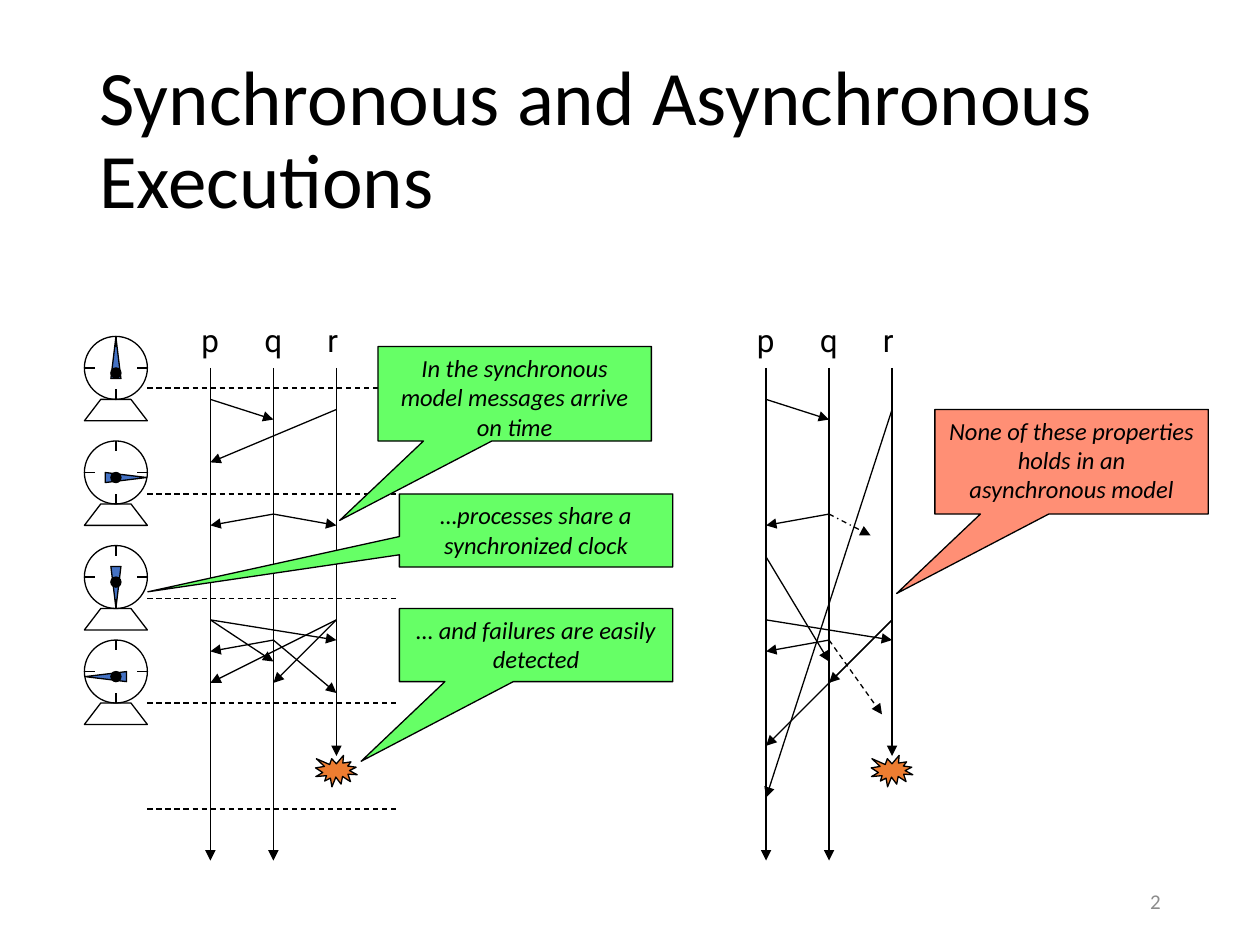
from typing import NamedTuple

from lxml import etree
from pptx import Presentation
from pptx.dml.color import RGBColor
from pptx.enum.dml import MSO_LINE
from pptx.enum.shapes import MSO_CONNECTOR, MSO_SHAPE
from pptx.enum.text import MSO_ANCHOR, PP_ALIGN
from pptx.oxml.ns import qn
from pptx.util import Inches, Pt

STRAIGHT = MSO_CONNECTOR.STRAIGHT
SOLID, DASH, DASH_DOT = MSO_LINE.SOLID, MSO_LINE.DASH, MSO_LINE.DASH_DOT
OVAL, TRIANGLE = MSO_SHAPE.OVAL, MSO_SHAPE.ISOSCELES_TRIANGLE
BURST, CALLOUT = MSO_SHAPE.EXPLOSION1, MSO_SHAPE.RECTANGULAR_CALLOUT
TOP, MIDDLE = MSO_ANCHOR.TOP, MSO_ANCHOR.MIDDLE
LEFT, CENTER, RIGHT = PP_ALIGN.LEFT, PP_ALIGN.CENTER, PP_ALIGN.RIGHT

BLACK, GREEN, SALMON = "000000", "66FF66", "FF8F75"
BLUE, ORANGE, GRAY = "4472C4", "ED7D31", "8C8C8C"

P, Q, R = 0, 0.5, 1  # process timelines, as offsets from the first one
CLOCK_X = 0.92
DIAL_RADIUS = 0.25


class Message(NamedTuple):
    start: float
    sent: float
    end: float
    received: float
    dash: int = SOLID


class Clock(NamedTuple):
    center_y: float
    rotation: int
    hand_dx: float
    hand_dy: float


class Callout(NamedTuple):
    text: str
    left: float
    top: float
    height: float
    tip_x: float
    tip_y: float
    fill: str


SYNCHRONOUS = [
    Message(P, 3.17, Q, 3.33),
    Message(R, 3.25, P, 3.67),
    Message(Q, 4.08, P, 4.17),
    Message(Q, 4.08, R, 4.17),
    Message(P, 4.92, R, 5.08),
    Message(R, 4.92, P, 5.42),
    Message(Q, 5.08, P, 5.17),
    Message(P, 4.92, Q, 5.25),
    Message(Q, 5.08, R, 5.5),
    Message(R, 4.92, Q, 5.42),
]
ASYNCHRONOUS = [
    Message(P, 3.17, Q, 3.33),
    Message(R, 3.25, P, 6.33),
    Message(Q, 4.08, P, 4.17),
    Message(Q, 4.08, 0.83, 4.25, DASH_DOT),
    Message(P, 4.92, R, 5.08),
    Message(R, 4.92, P, 5.92),
    Message(Q, 5.08, P, 5.17),
    Message(P, 4.42, Q, 5.25),
    Message(Q, 5.08, 0.92, 5.67, DASH),
    Message(R, 4.92, Q, 5.42),
]
CLOCKS = [
    Clock(2.92, 0, 0, -0.12),
    Clock(3.75, 90, 0.08, 0),
    Clock(4.58, 180, 0, 0.04),
    Clock(5.33, 270, -0.08, 0),
]
ROUND_ENDS = [3.08, 3.92, 4.75, 5.58, 6.42]
CALLOUTS = [
    Callout("…processes share a synchronized clock",
            3.17, 3.92, 0.58, -1.42, 0.84, GREEN),
    Callout("In the synchronous model messages arrive on time",
            3, 2.75, 0.75, -0.64, 1.34, GREEN),
    Callout("… and failures are easily detected",
            3.17, 4.83, 0.58, -0.64, 1.59, GREEN),
    Callout("None of these properties holds in an asynchronous model",
            7.42, 3.25, 0.83, -0.64, 1.26, SALMON),
]


def color(value: str) -> RGBColor:
    return RGBColor.from_string(value)


def style_shape(shape, fill: str | None) -> None:
    shape.shadow.inherit = False
    if fill:
        shape.fill.solid()
        shape.fill.fore_color.rgb = color(fill)
    else:
        shape.fill.background()
    shape.line.color.rgb = color(BLACK)
    shape.line.width = Pt(0.75)


def add_line(slide, x1: float, y1: float, x2: float, y2: float,
             dash: int = SOLID, arrow: bool = False) -> None:
    connector = slide.shapes.add_connector(
        STRAIGHT, Inches(x1), Inches(y1), Inches(x2), Inches(y2))
    connector.line.color.rgb = color(BLACK)
    connector.line.width = Pt(0.75)
    connector.line.dash_style = dash
    if arrow:
        line = connector.line._get_or_add_ln()
        etree.SubElement(line, qn("a:tailEnd"), type="triangle")
    etree.SubElement(connector._element.spPr, qn("a:effectLst"))


def add_centered(slide, kind: int, x: float, y: float, width: float,
                 height: float, fill: str | None = None):
    """Add a preset shape centered on (x, y)."""
    shape = slide.shapes.add_shape(
        kind, Inches(x - width / 2), Inches(y - height / 2),
        Inches(width), Inches(height))
    style_shape(shape, fill)
    return shape


def write(shape, text: str, size: int, font: str = "Calibri",
          ink: str = BLACK, align: int = LEFT, anchor: int = TOP,
          italic: bool = False):
    frame = shape.text_frame
    frame.word_wrap = True
    frame.vertical_anchor = anchor
    paragraph = frame.paragraphs[0]
    paragraph.alignment = align
    run = paragraph.add_run()
    run.text = text
    run.font.size = Pt(size)
    run.font.name = font
    run.font.italic = italic
    run.font.color.rgb = color(ink)
    return paragraph


def add_text_box(slide, left: float, top: float, width: float, height: float):
    return slide.shapes.add_textbox(
        Inches(left), Inches(top), Inches(width), Inches(height))


def add_execution(slide, left: float, messages: list[Message]) -> None:
    """Draw three timelines, their messages and the crash of process r."""
    for name, offset, end in (("p", P, 6.83), ("q", Q, 6.83), ("r", R, 6)):
        x = left + offset
        add_line(slide, x, 2.92, x, end, arrow=True)
        write(add_text_box(slide, x - 0.17, 2.5, 0.33, 0.4), name, 18, "Roboto")
    for message in messages:
        add_line(slide, left + message.start, message.sent,
                 left + message.end, message.received, message.dash, arrow=True)
    add_centered(slide, BURST, left + R, 6.12, 0.33, 0.25, ORANGE)


def add_clock(slide, clock: Clock) -> None:
    x, y = CLOCK_X, clock.center_y
    add_centered(slide, OVAL, x, y, 2 * DIAL_RADIUS, 2 * DIAL_RADIUS)
    base_top, base_bottom = y + DIAL_RADIUS, y + DIAL_RADIUS + 0.17
    builder = slide.shapes.build_freeform(Inches(x - 0.25), Inches(base_bottom))
    builder.add_line_segments([
        (Inches(x - 0.12), Inches(base_top)),
        (Inches(x + 0.12), Inches(base_top)),
        (Inches(x + 0.25), Inches(base_bottom))], close=True)
    style_shape(builder.convert_to_shape(), None)

    pivot_y = y + 0.04
    hand = add_centered(slide, TRIANGLE, x + clock.hand_dx,
                        pivot_y + clock.hand_dy, 0.08, 0.33, BLUE)
    hand.rotation = clock.rotation
    add_centered(slide, OVAL, x, pivot_y, 0.08, 0.08, BLACK)
    inner = DIAL_RADIUS - 0.08
    for dx, dy in ((-1, 0), (1, 0), (0, 1), (0, -1)):
        add_line(slide, x + dx * DIAL_RADIUS, y + dy * DIAL_RADIUS,
                 x + dx * inner, y + dy * inner)


def add_callout(slide, callout: Callout) -> None:
    shape = slide.shapes.add_shape(
        CALLOUT, Inches(callout.left), Inches(callout.top),
        Inches(2.17), Inches(callout.height))
    style_shape(shape, callout.fill)
    shape.adjustments[0] = callout.tip_x
    shape.adjustments[1] = callout.tip_y
    write(shape, callout.text, 14, align=CENTER, italic=True)


def main() -> None:
    presentation = Presentation()
    presentation.slide_width, presentation.slide_height = Inches(10), Inches(7.5)
    slide = presentation.slides.add_slide(presentation.slide_layouts[6])

    title = write(add_text_box(slide, 0.69, 0.4, 8.62, 1.45),
                  "Synchronous and Asynchronous Executions", 44, anchor=MIDDLE)
    title.line_spacing = 0.9
    write(add_text_box(slide, 7.06, 6.95, 2.25, 0.4), "2", 12,
          ink=GRAY, align=RIGHT, anchor=MIDDLE)
    for y in ROUND_ENDS:
        add_line(slide, 1.17, y, 3.17, y, DASH)
    add_execution(slide, 1.67, SYNCHRONOUS)
    for clock in CLOCKS:
        add_clock(slide, clock)
    add_execution(slide, 6.08, ASYNCHRONOUS)
    for callout in CALLOUTS:
        add_callout(slide, callout)
    presentation.save("out.pptx")


if __name__ == "__main__":
    main()
